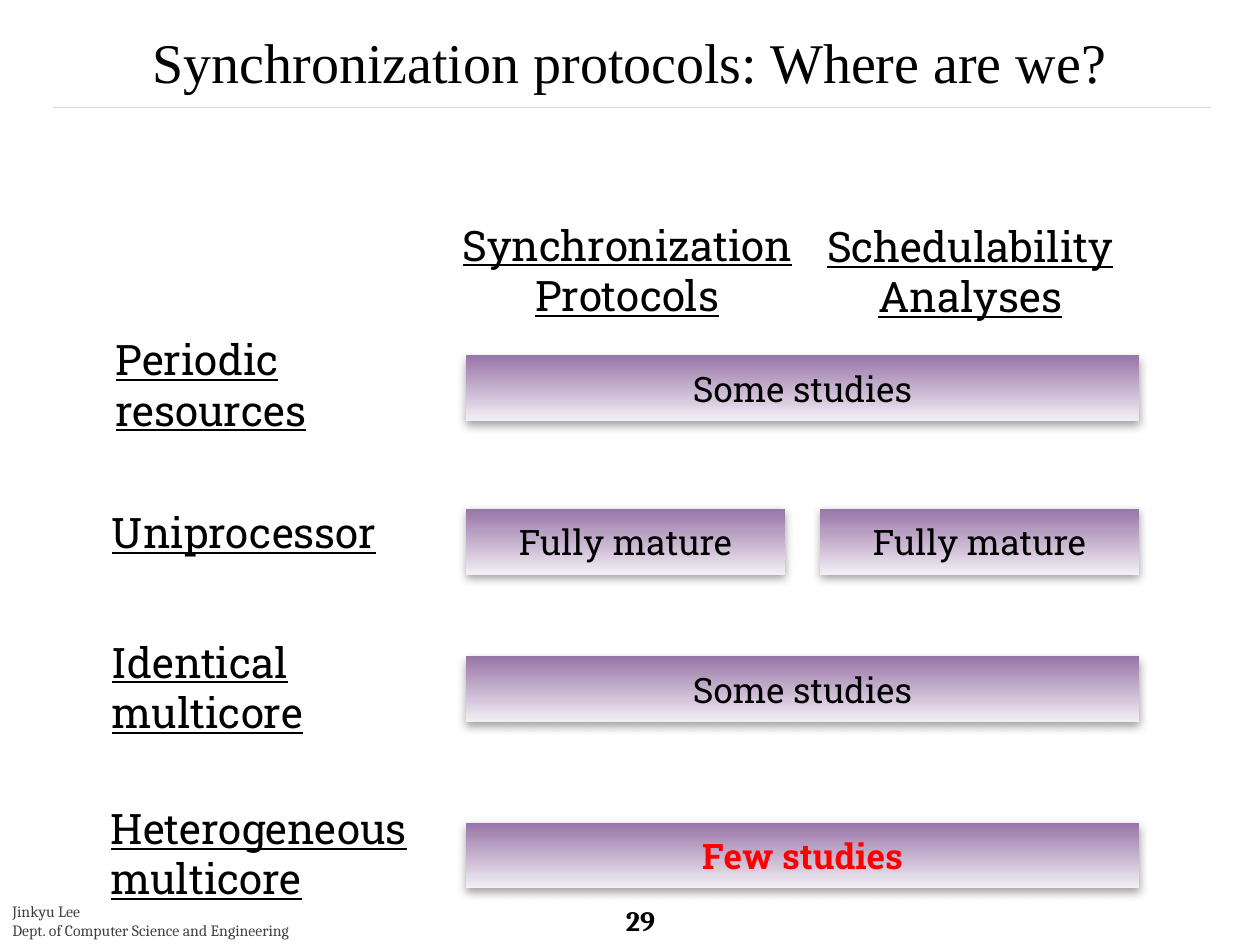
from lxml.etree import SubElement
from pptx import Presentation
from pptx.dml.color import RGBColor
from pptx.enum.shapes import MSO_CONNECTOR, MSO_SHAPE
from pptx.enum.text import MSO_ANCHOR, PP_ALIGN
from pptx.oxml.ns import qn
from pptx.util import Inches, Pt

COLORS = {
    "ink": "000000", "gray": "404040", "rule": "D9D9D9", "alert": "FF0000",
    "dark": "9875A7", "light": "F3EFF5", "shade": "808080",
}
SLAB = "Roboto Slab"


def color(name):
    return RGBColor.from_string(COLORS[name])


def write(shape, text, size=24, font=SLAB, ink="ink", bold=False,
          under=False, align=PP_ALIGN.LEFT, anchor=MSO_ANCHOR.TOP):
    frame = shape.text_frame
    frame.word_wrap = True
    frame.vertical_anchor = anchor
    frame.text = text
    for para in frame.paragraphs:
        para.alignment = align
        for run in para.runs:
            run.font.size = Pt(size)
            run.font.name = font
            run.font.bold = bold
            run.font.underline = under
            run.font.color.rgb = color(ink)


class Deck:
    def __init__(self):
        self.prs = Presentation()
        self.prs.slide_width = Inches(10)
        self.prs.slide_height = Inches(7.5)
        self.slide = self.prs.slides.add_slide(self.prs.slide_layouts[6])

    def text(self, box, text, **style):
        shape = self.slide.shapes.add_textbox(*map(Inches, box))
        write(shape, text, **style)

    def block(self, kind, box, text, **style):
        shape = self.slide.shapes.add_shape(kind, *map(Inches, box))
        shape.shadow.inherit = False
        shape.fill.background()
        shape.line.fill.background()
        write(shape, text, align=PP_ALIGN.CENTER, anchor=MSO_ANCHOR.MIDDLE, **style)
        return shape

    def head(self, box, text):
        self.block(MSO_SHAPE.ROUNDED_RECTANGLE, box, text, under=True)

    def bar(self, box, text, **style):
        shape = self.block(MSO_SHAPE.RECTANGLE, box, text, size=20, **style)
        shape.fill.gradient()
        shape.fill.gradient_angle = 270
        for stop, name in zip(shape.fill.gradient_stops, ("dark", "light")):
            stop.color.rgb = color(name)
        # Soft shadow straight below
        effects = shape._element.spPr.find(qn("a:effectLst"))
        shadow = SubElement(effects, qn("a:outerShdw"), blurRad=str(Pt(5)),
                            dist=str(Pt(2)), dir="5400000", rotWithShape="0")
        tone = SubElement(shadow, qn("a:srgbClr"), val=COLORS["shade"])
        SubElement(tone, qn("a:alpha"), val="75000")

    def rule(self, left, right, top):
        line = self.slide.shapes.add_connector(
            MSO_CONNECTOR.STRAIGHT, Inches(left), Inches(top), Inches(right), Inches(top))
        line.line.color.rgb = color("rule")
        line.line.width = Pt(0.1)
        SubElement(line._element.spPr, qn("a:effectLst"))


def main():
    deck = Deck()

    # Rule, page number and footer
    deck.rule(0.42, 9.61, 0.85)
    deck.text((4.87, 7.15, 0.66, 0.31), "29", size=16, font="Cambria",
              bold=True, anchor=MSO_ANCHOR.MIDDLE)
    deck.text((0, 7.11, 2.76, 0.4),
              "Jinkyu Lee\nDept. of Computer Science and Engineering",
              size=9, font="Cambria", ink="gray")

    # Title
    deck.text((0, 0.17, 10, 0.6), "Synchronization protocols: Where are we?",
              size=32, font="Times New Roman", align=PP_ALIGN.CENTER)

    # Column heads
    deck.head((3.45, 1.83, 3.06, 0.62), "Synchronization Protocols")
    deck.head((6.23, 1.84, 2.94, 0.62), "Schedulability Analyses")

    # Rows: label, its left, top and height, then bar top, bar texts, bar style
    rows = [
        ("Periodic resources", 0.82, 2.6, 0.91, 2.82, ["Some studies"], {}),
        ("Uniprocessor", 0.79, 3.97, 0.5, 4.04, ["Fully mature"] * 2, {}),
        ("Identical multicore", 0.79, 5, 0.91, 5.21, ["Some studies"], {}),
        ("Heterogeneous\vmulticore", 0.78, 6.32, 0.91, 6.53, ["Few studies"],
         {"ink": "alert", "bold": True}),
    ]
    start, full, gap = 3.7, 5.34, 0.28
    for label, left, top, high, y, states, style in rows:
        deck.text((left, top, 2.59, high), label, under=True)
        wide = (full - gap * (len(states) - 1)) / len(states)
        for i, state in enumerate(states):
            deck.bar((start + i * (wide + gap), y, wide, 0.52), state, **style)

    deck.prs.save("out.pptx")


if __name__ == "__main__":
    main()
